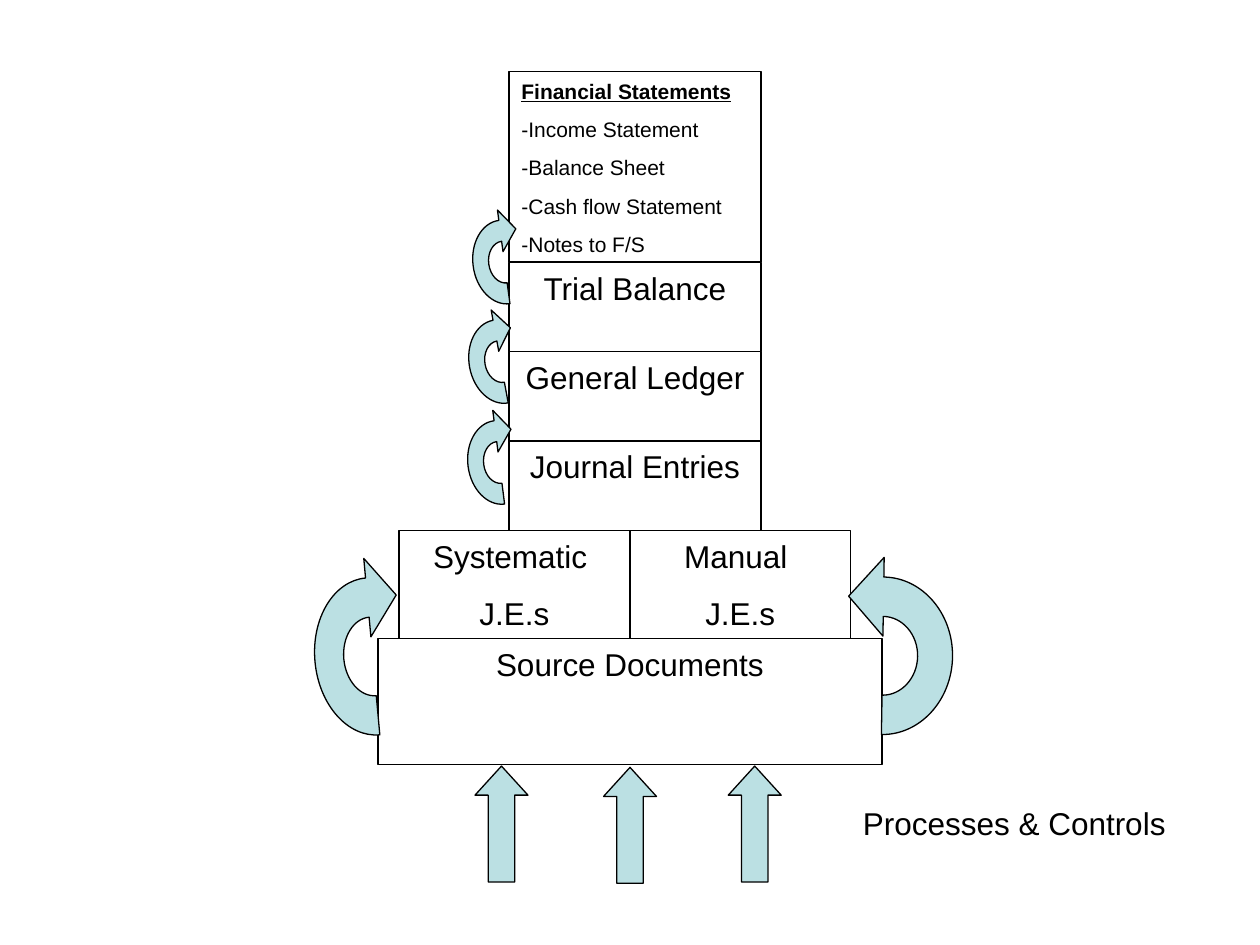
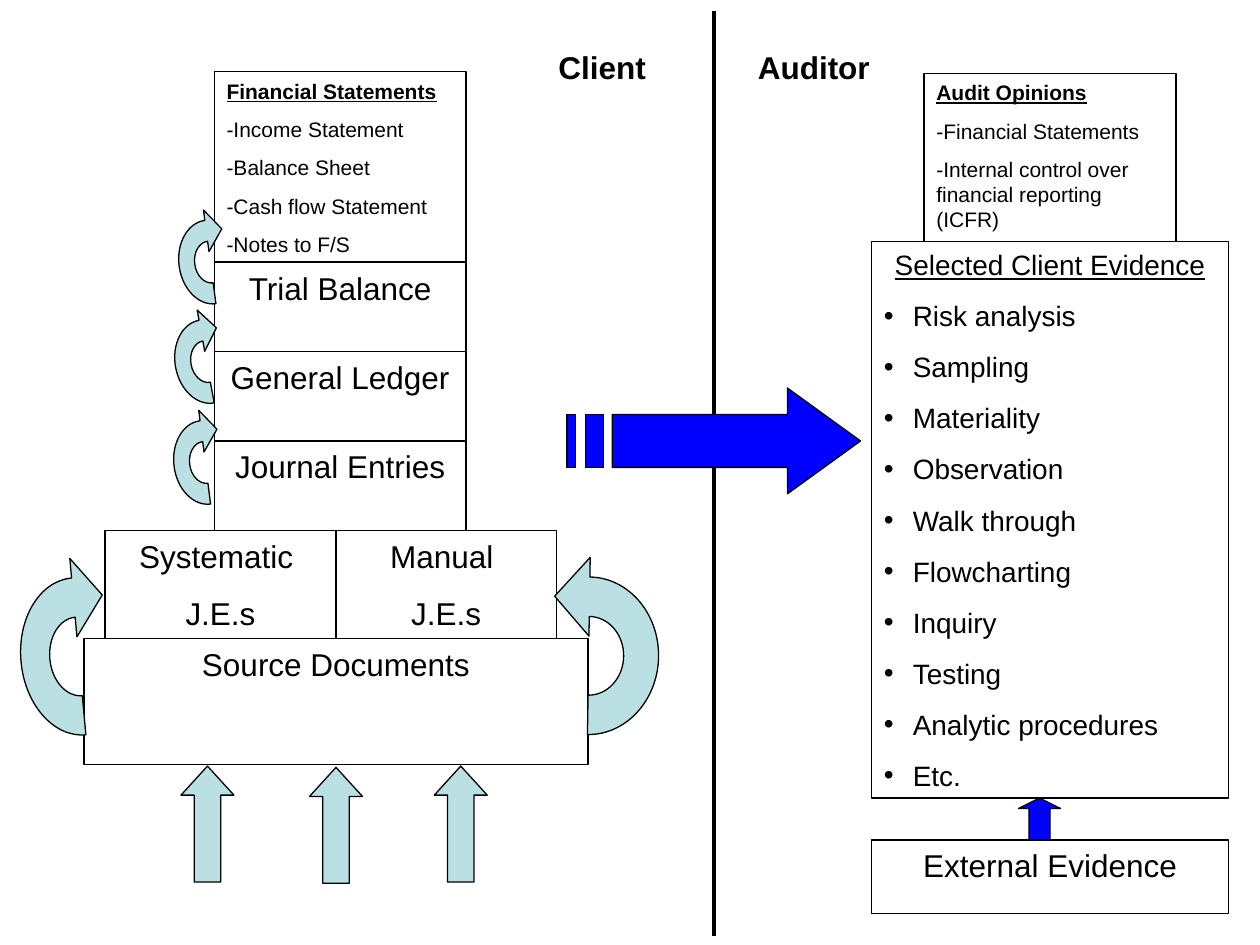
from lxml import etree
from pptx import Presentation
from pptx.dml.color import RGBColor
from pptx.enum import shapes, text
from pptx.oxml import ns
from pptx.util import Inches, Pt

BLACK, PALE, BLUE = "000000", "BBE0E3", "0000FF"
CENTER, LEFT = text.PP_ALIGN.CENTER, text.PP_ALIGN.LEFT

# Half ring with an arrowhead, in a 2000 by 2000 frame
CURVED_ARROW = [
    ("moveTo", [(1500, 1000)]),
    ("cubicBezTo", [(1500, 724), (1276, 500), (1000, 500)]),
    ("cubicBezTo", [(724, 500), (500, 724), (500, 1000)]),
    ("lnTo", [(0, 1000)]),
    ("cubicBezTo", [(0, 448), (448, 0), (1000, 0)]),
    ("cubicBezTo", [(1552, 0), (2000, 448), (2000, 1000)]),
    ("lnTo", [(2250, 1000)]),
    ("lnTo", [(1750, 1500)]),
    ("lnTo", [(1250, 1000)]),
    ("close", []),
]


def color(value):
    return RGBColor.from_string(value)


def write(box, lines, size=18, align=CENTER, bold=False, heading=None, bullets=False):
    """Fill a box with one paragraph per line; heading formats the first line."""
    frame = box.text_frame
    frame.word_wrap = True
    frame.vertical_anchor = text.MSO_ANCHOR.TOP
    for index, line in enumerate(lines):
        first = index == 0
        para = frame.paragraphs[0] if first else frame.add_paragraph()
        para.alignment = align
        if not first:
            para.space_before = Pt(size * 0.625)
            if bullets:
                para.alignment = LEFT
                add_bullet(para)
        span = para.add_run()
        span.text = line
        span.font.name = "Arial"
        span.font.size = Pt(size)
        span.font.color.rgb = color(BLACK)
        span.font.bold = bold or (first and heading == "bold")
        span.font.underline = first and heading is not None


def add_bullet(para, indent=0.23):
    properties = para._p.get_or_add_pPr()
    properties.set("marL", str(Inches(indent)))
    properties.set("indent", str(-Inches(indent)))
    etree.SubElement(properties, ns.qn("a:buFont")).set("typeface", "Arial")
    etree.SubElement(properties, ns.qn("a:buChar")).set("char", "•")


class Board:
    def __init__(self, deck):
        self.deck = deck
        self.page = None

    def new_page(self):
        self.page = self.deck.slides.add_slide(self.deck.slide_layouts[6])

    def paint(self, shape, fill=None):
        shape.shadow.inherit = False
        if fill:
            shape.fill.solid()
            shape.fill.fore_color.rgb = color(fill)
        else:
            shape.fill.background()
        shape.line.color.rgb = color(BLACK)
        shape.line.width = Pt(0.75)

    def preset(self, kind, left, top, width, height, fill=None):
        shape = self.page.shapes.add_shape(
            kind, Inches(left), Inches(top), Inches(width), Inches(height))
        self.paint(shape, fill)
        return shape

    def block(self, left, top, width, height, *lines, **style):
        box = self.preset(shapes.MSO_SHAPE.RECTANGLE, left, top, width, height)
        write(box, lines, **style)

    def label(self, left, top, width, line, **style):
        box = self.page.shapes.add_textbox(
            Inches(left), Inches(top), Inches(width), Inches(0.4))
        write(box, [line], align=LEFT, **style)

    def up_arrow(self, left, top, width, height, head, fill):
        arrow = self.preset(shapes.MSO_SHAPE.UP_ARROW, left, top, width, height, fill)
        arrow.adjustments[0] = 0.5
        arrow.adjustments[1] = head

    def outline(self, contours, fill):
        contours = [[(Inches(x), Inches(y)) for x, y in points] for points in contours]
        builder = self.page.shapes.build_freeform(*contours[0][0], scale=1.0)
        for index, points in enumerate(contours):
            if index:
                builder.move_to(*points[0])
            builder.add_line_segments(points[1:], close=True)
        shape = builder.convert_to_shape()
        self.paint(shape, fill)
        return shape

    def curved_arrow(self, left, top, width, height, turn, flip=False):
        """Place the half ring in its frame, then flip and turn it."""
        frame = [(left, top), (left + width, top),
                 (left + width, top + height), (left, top + height)]
        shape = self.outline([frame], PALE)
        outline = next(shape._element.iter(ns.qn("a:path")))
        for step in list(outline):
            outline.remove(step)
        outline.set("w", "2000")
        outline.set("h", "2000")
        for command, points in CURVED_ARROW:
            step = etree.SubElement(outline, ns.qn("a:" + command))
            for x, y in points:
                etree.SubElement(step, ns.qn("a:pt"), x=str(x), y=str(y))
        shape.rotation = turn
        if flip:
            shape._element.spPr.find(ns.qn("a:xfrm")).set("flipV", "1")

    def rule(self, x, top, bottom):
        line = self.page.shapes.add_connector(
            shapes.MSO_CONNECTOR.STRAIGHT, Inches(x), Inches(top), Inches(x), Inches(bottom))
        line.line.color.rgb = color(BLACK)
        line.line.width = Pt(2)
        etree.SubElement(line._element.spPr, ns.qn("a:effectLst"))

    def accounting_tower(self, left, column):
        """Stack from source documents (at left) up to statements (at column)."""
        self.block(column, 0.57, 2, 1.51, "Financial Statements", "-Income Statement",
                   "-Balance Sheet", "-Cash flow Statement", "-Notes to F/S",
                   size=12, align=LEFT, heading="bold")
        row = 17 / 24
        for level, name in enumerate(["Trial Balance", "General Ledger", "Journal Entries"]):
            self.block(column, 3.5 + row * (level - 2), 2, row, name)
        self.block(left + 1 / 6, 4.21, 11 / 6, 0.86, "Systematic ", "J.E.s")
        self.block(left + 2, 4.21, 1.75, 0.86, "Manual ", "J.E.s")
        self.block(left, 5.07, 4, 1, "Source Documents")

        # Arrows feeding the base
        for offset, top in [(0.77, 6.08), (1.79, 6.09), (2.78, 6.08)]:
            self.up_arrow(left + offset, top, 0.42, 0.92, 0.55, PALE)

        # Arrows climbing from level to level
        self.curved_arrow(left - 2 / 3, 4.75, 1.25, 0.92, 264.8)
        self.curved_arrow(left + 3.38, 4.65, 1.25, 1.11, 270.9, flip=True)
        for offset, top, turn in [(0.63, 3.42, 262.8), (0.64, 2.62, 259.6),
                                  (0.67, 1.83, 262.4)]:
            self.curved_arrow(left + offset, top, 2 / 3, 0.5, turn)


def client_slide(board):
    board.new_page()
    board.accounting_tower(3, 4.04)
    board.label(6.75, 6.33, 2.83, "Processes & Controls")


def audit_slide(board):
    board.new_page()
    board.accounting_tower(2 / 3, 1.7)

    # Auditor's stack
    board.block(22 / 3, 7 / 12, 2, 4 / 3, "Audit Opinions", "-Financial Statements",
                "-Internal control over financial reporting (ICFR)",
                size=12, align=LEFT, heading="bold")
    stack, width = 83 / 12, 17 / 6
    board.block(stack, 23 / 12, width, 53 / 12, "Selected Client Evidence", "Risk analysis",
                "Sampling", "Materiality", "Observation", "Walk through", "Flowcharting",
                "Inquiry", "Testing", "Analytic procedures", "Etc.",
                size=16, heading="plain", bullets=True)

    # Divide between client and auditor
    board.rule(17 / 3, 0.09, 7.43)
    board.label(13 / 3, 0.33, 1, "Client", bold=True)
    board.label(71 / 12, 0.33, 7 / 6, "Auditor", bold=True)

    # Striped arrow across the divide
    top, bottom = 3.29, 3.71
    arrow = [(6.25, 3.08), (6.25, top), (4.86, top), (4.86, bottom),
             (6.25, bottom), (6.25, 3.92), (6.83, 3.5)]
    stripes = [[(start, top), (start, bottom), (end, bottom), (end, top)]
               for start, end in [(4.65, 4.79), (4.5, 4.57)]]
    board.outline([arrow] + stripes, BLUE)

    # Outside evidence
    board.block(stack, 20 / 3, width, 7 / 12, "External Evidence")
    board.up_arrow(97 / 12, 19 / 3, 1 / 3, 1 / 3, 0.25, BLUE)


def main():
    deck = Presentation()
    deck.slide_width, deck.slide_height = Inches(10), Inches(7.5)
    board = Board(deck)
    client_slide(board)
    audit_slide(board)
    deck.save("out.pptx")


if __name__ == "__main__":
    main()
